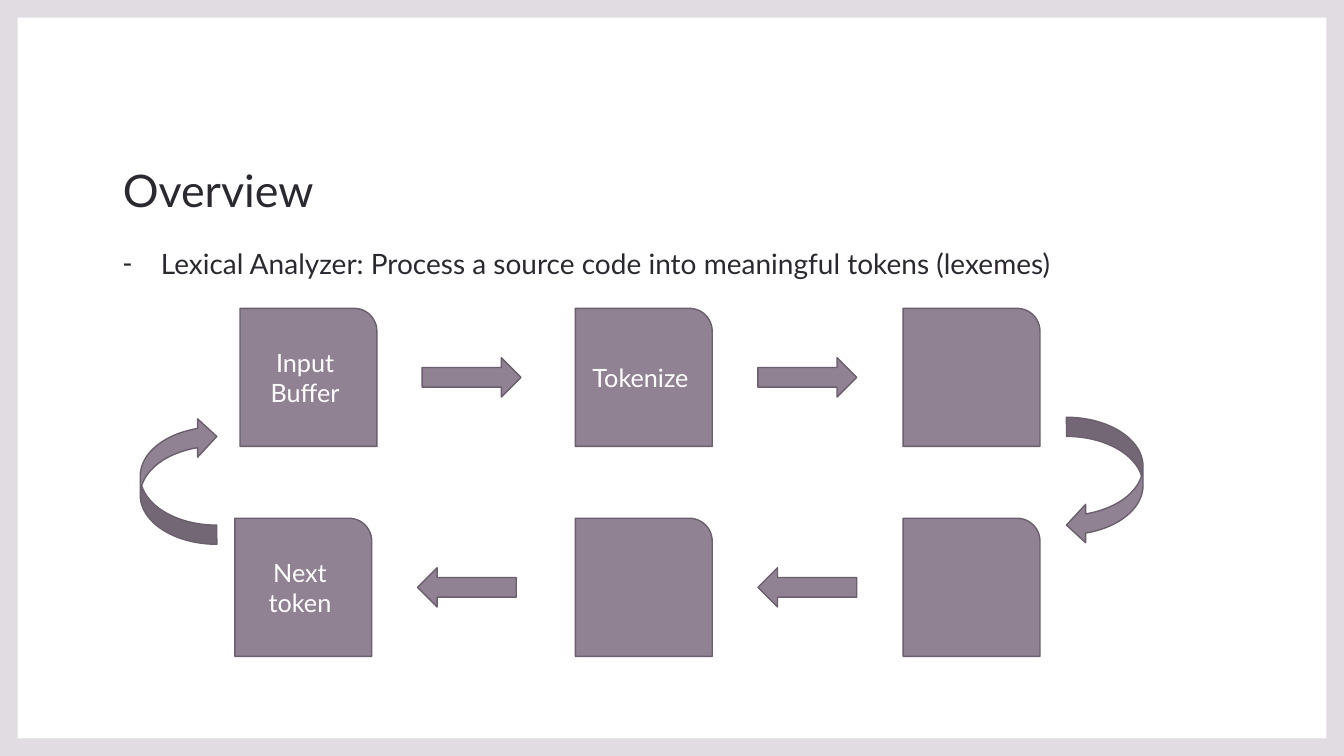
import pptx
import pptx.dml.color
import pptx.enum.shapes
import pptx.enum.text
import pptx.oxml
import pptx.oxml.ns
import pptx.util
from pptx.util import Cm

COLORS = {
    "frame": "E0DCE1",
    "text": "2C2830",
    "fill": "908193",
    "line": "6B5F6D",
    "label": "FFFFFF",
}
FONT = "Lato"
SHAPES = pptx.enum.shapes.MSO_SHAPE
ALIGN = pptx.enum.text.PP_ALIGN
ANCHOR = pptx.enum.text.MSO_ANCHOR

BOX_WIDTH, BOX_HEIGHT = 3.45, 3.48
ARROW_WIDTH, ARROW_HEIGHT = 2.49, 0.99
CURVE_WIDTH, CURVE_HEIGHT, CURVE_TOP = 3.2, 1.93, 11.15

# Each row: top, rotation of its arrows, arrow lefts, boxes as (left, label)
ROWS = [
    (7.77, 0, [10.64, 19.1], [(6.05, "Input Buffer"), (14.5, "Tokenize"), (22.76, "")]),
    (13.06, 180, [10.52, 19.1], [(5.92, "Next token"), (14.5, ""), (22.76, "")]),
]
CURVES = [(2.9, 270), (26.24, 90)]


def color(name):
    return pptx.dml.color.RGBColor.from_string(COLORS[name])


def write_text(shape, text, size=18, font_color="text", align=ALIGN.LEFT,
               anchor=ANCHOR.TOP, line_spacing=None, space_before=0):
    frame = shape.text_frame
    frame.word_wrap = True
    frame.auto_size = pptx.enum.text.MSO_AUTO_SIZE.NONE
    frame.vertical_anchor = anchor
    paragraph = frame.paragraphs[0]
    paragraph.alignment = align
    paragraph.line_spacing = line_spacing
    paragraph.space_before = pptx.util.Pt(space_before)
    run = paragraph.add_run()
    run.text = text
    run.font.name = FONT
    run.font.size = pptx.util.Pt(size)
    run.font.color.rgb = color(font_color)
    return paragraph


def place(shape, left, top, width, height):
    shape.left, shape.top = Cm(left), Cm(top)
    shape.width, shape.height = Cm(width), Cm(height)


def add_dash_bullet(paragraph, indent):
    properties = paragraph._p.get_or_add_pPr()
    properties.set("marL", str(Cm(indent)))
    properties.set("indent", str(-Cm(indent)))
    bullet = pptx.oxml.parse_xml(
        f'<a:buChar {pptx.oxml.ns.nsdecls("a")} char="-"/>')
    properties.append(bullet)


def add_frame(slide, presentation):
    """Add the border that runs round the slide, behind everything else."""
    frame = slide.shapes.add_shape(
        SHAPES.FRAME, 0, 0, presentation.slide_width, presentation.slide_height)
    frame.adjustments[0] = 0.0233
    frame.shadow.inherit = False
    frame.fill.solid()
    frame.fill.fore_color.rgb = color("frame")
    frame.line.fill.background()
    slide.shapes.title.element.addprevious(frame.element)


def add_step_shape(slide, kind, left, top, width, height, rotation=0, label=""):
    shape = slide.shapes.add_shape(kind, Cm(left), Cm(top), Cm(width), Cm(height))
    shape.rotation = rotation
    shape.shadow.inherit = False
    shape.fill.solid()
    shape.fill.fore_color.rgb = color("fill")
    shape.line.color.rgb = color("line")
    shape.line.width = pptx.util.Pt(1)
    if label:
        write_text(shape, label, font_color="label", align=ALIGN.CENTER,
                   anchor=ANCHOR.MIDDLE)


def main():
    presentation = pptx.Presentation()
    presentation.slide_width, presentation.slide_height = Cm(33.87), Cm(19.05)
    slide = presentation.slides.add_slide(presentation.slide_layouts[1])
    title, body = slide.placeholders

    add_frame(slide, presentation)
    place(title, 2.84, 2.01, 28.14, 3.58)
    write_text(title, "Overview", size=32, anchor=ANCHOR.BOTTOM, line_spacing=1.1)
    place(body, 2.84, 5.99, 28.14, 11.02)
    paragraph = write_text(
        body, "Lexical Analyzer: Process a source code into meaningful tokens (lexemes)",
        size=20, line_spacing=1.1, space_before=10)
    add_dash_bullet(paragraph, 0.96)

    for top, rotation, arrow_lefts, boxes in ROWS:
        for left, label in boxes:
            add_step_shape(slide, SHAPES.ROUND_1_RECTANGLE, left, top,
                           BOX_WIDTH, BOX_HEIGHT, label=label)
        arrow_top = top + (BOX_HEIGHT - ARROW_HEIGHT) / 2
        for left in arrow_lefts:
            add_step_shape(slide, SHAPES.RIGHT_ARROW, left, arrow_top,
                           ARROW_WIDTH, ARROW_HEIGHT, rotation)
    for left, rotation in CURVES:
        add_step_shape(slide, SHAPES.CURVED_DOWN_ARROW, left, CURVE_TOP,
                       CURVE_WIDTH, CURVE_HEIGHT, rotation)

    presentation.save("out.pptx")


if __name__ == "__main__":
    main()
